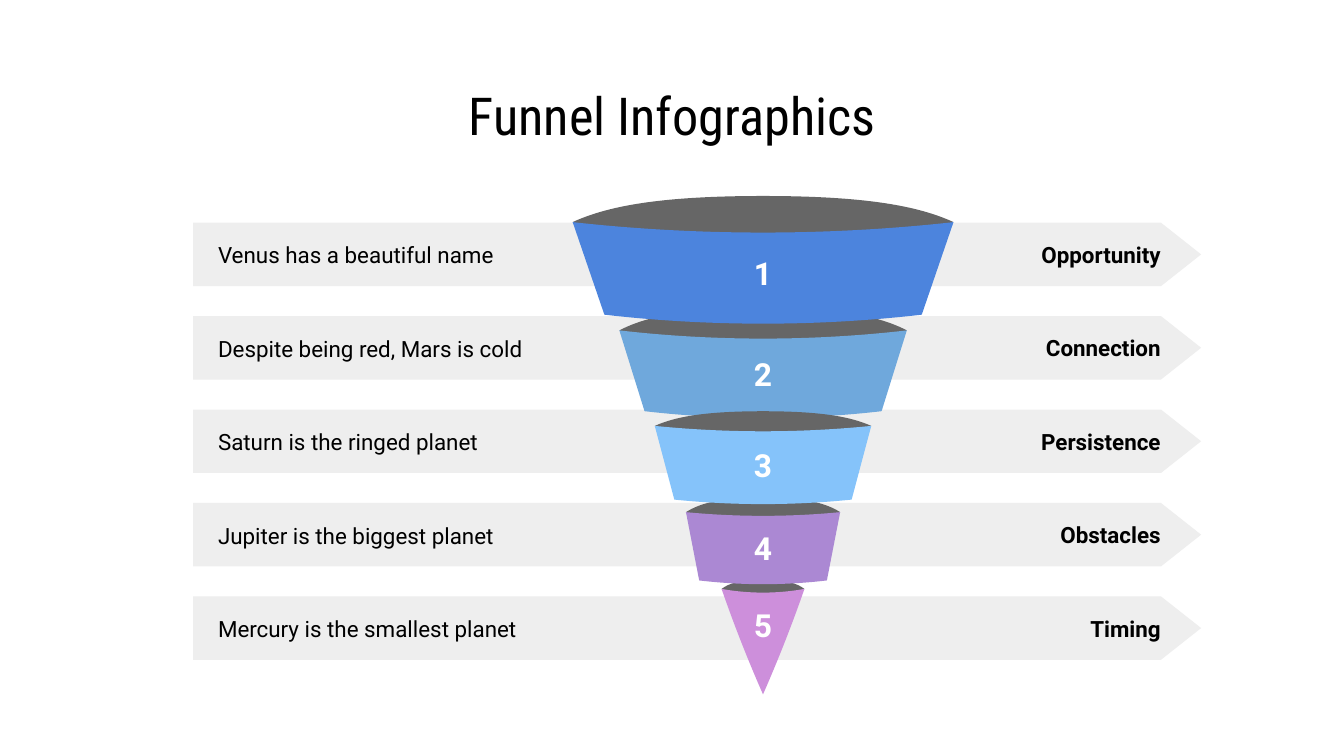
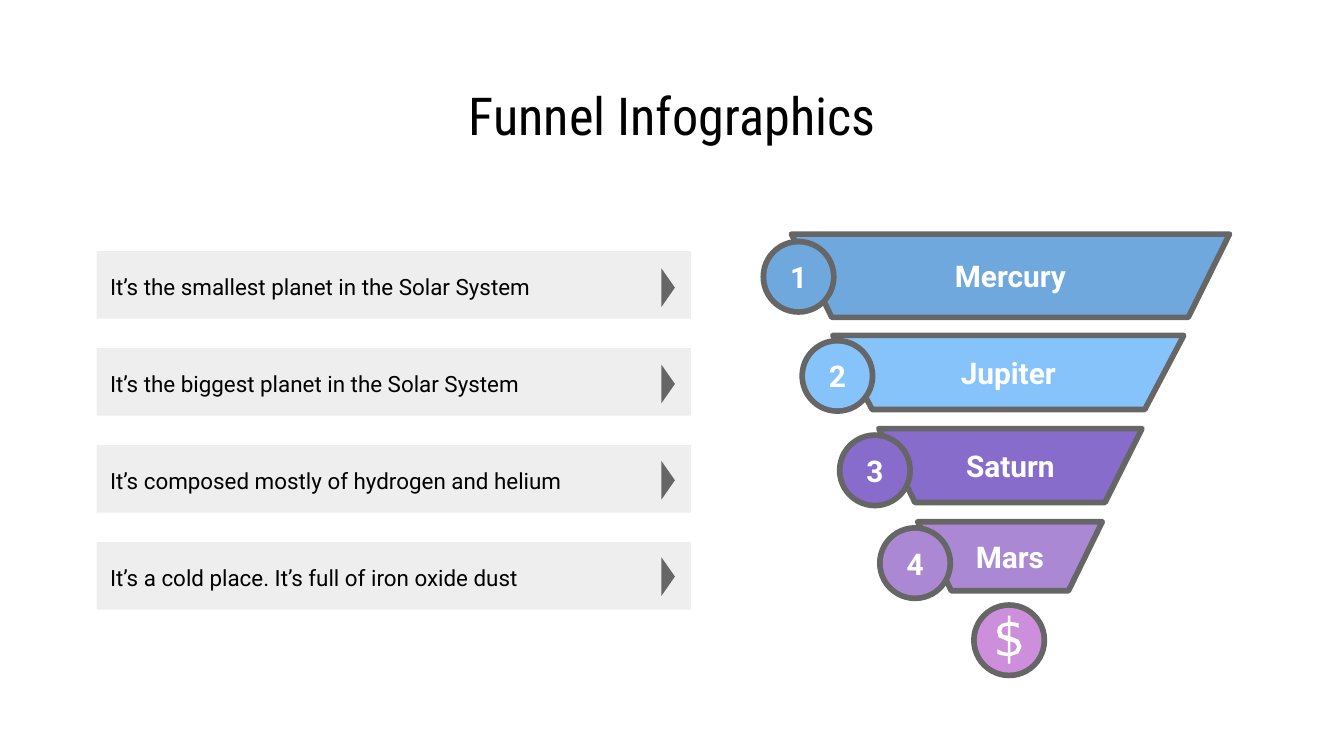
from lxml import etree
from pptx import Presentation
from pptx import util as u
from pptx.dml.color import RGBColor
from pptx.enum import shapes, text
from pptx.oxml.ns import qn

Pt = u.Pt
COLORS = {
    "black": "000000", "white": "FFFFFF", "bar": "EEEEEE", "gray": "666666",
    "blue": "4C84DD", "steel": "6FA8DC", "sky": "85C3FA",
    "violet": "886CCC", "lilac": "AB88D3", "pink": "CD8FDB",
}
RGB = {name: RGBColor.from_string(value) for name, value in COLORS.items()}
LEFT, CENTER, RIGHT = text.PP_ALIGN.LEFT, text.PP_ALIGN.CENTER, text.PP_ALIGN.RIGHT


def outline(s, fill, *contours, curved=False):
    builder = None
    for points in contours:
        points = [(Pt(x), Pt(y)) for x, y in points]
        if builder is None:
            builder = s.shapes.build_freeform(*points[0], scale=1.0)
        else:
            builder.move_to(*points[0])
        builder.add_line_segments(points[1:], close=True)
    sp = builder.convert_to_shape()
    if curved:
        lines = list(sp._element.iter(qn("a:lnTo")))
        for k in range(0, len(lines), 3):
            curve = etree.Element(qn("a:cubicBezTo"))
            lines[k].addprevious(curve)
            for line in lines[k:k + 3]:
                curve.append(line[0])
                line.getparent().remove(line)
    sp.shadow.inherit = False
    sp.fill.solid()
    sp.fill.fore_color.rgb = RGB[fill]
    sp.line.fill.background()
    return sp


def write(sp, words, size, color="black", bold=False, align=LEFT, font="Roboto",
          anchor=text.MSO_ANCHOR.MIDDLE, insets=(7.2, 7.2, 7.2, 7.2)):
    tf = sp.text_frame
    tf.text = words
    tf.word_wrap = True
    tf.auto_size = text.MSO_AUTO_SIZE.NONE
    tf.vertical_anchor = anchor
    tf.margin_left, tf.margin_top, tf.margin_right, tf.margin_bottom = map(Pt, insets)
    p = tf.paragraphs[0]
    p.alignment = align
    p.space_before = Pt(0)
    f = p.runs[0].font
    f.name, f.size, f.bold = font, Pt(size), bold
    f.color.rgb = RGB[color]
    return p


prs = Presentation()
prs.slide_width, prs.slide_height = Pt(720), Pt(405)
funnel = prs.slides.add_slide(prs.slide_layouts.get_by_name("Title Only"))
planets = prs.slides.add_slide(prs.slide_layouts.get_by_name("Comparison"))

for s in (funnel, planets):
    title = s.shapes.title
    title.left, title.top, title.width, title.height = Pt(225), Pt(42.5), Pt(270), Pt(38)
    write(title, "Funnel Infographics", 28, align=CENTER, font="Roboto Condensed")

stages = [
    ("Venus has a beautiful name", "Opportunity"),
    ("Despite being red, Mars is cold", "Connection"),
    ("Saturn is the ringed planet", "Persistence"),
    ("Jupiter is the biggest planet", "Obstacles"),
    ("Mercury is the smallest planet", "Timing"),
]
for i, (note, stage) in enumerate(stages):
    top = 119.3 + 50.05 * i
    bar = outline(funnel, "bar", [(622, top), (643.5, top + 17), (622, top + 34),
                                  (103.5, top + 34), (103.5, top)])
    write(bar, stage, 12, bold=True, align=RIGHT, insets=(7.2, 7.2, 21.6, 7.2))
    box = funnel.shapes.add_textbox(Pt(109.7), Pt(top + 2.9), Pt(181.5), Pt(29))
    write(box, note, 12, anchor=text.MSO_ANCHOR.TOP)

middle = 408.8
dome = [(-1, 0), (-0.82, 0.6), (-0.55, 1), (0, 1), (0.55, 1), (0.82, 0.6), (1, 0)]
bow = [(-1, 0), (-0.67, 0.67), (-0.33, 1), (0, 1), (0.33, 1), (0.67, 0.67), (1, 0)]
tiers = [
    ("2", "steel", 77, 177, 63.5, 220.3, 4.4, 3.6, 165, 188),
    ("1", "blue", 102, 119, 85, 168.6, 5.6, 4.8, 105, 134),
    ("5", "pink", 22.2, 315.5, 0, 372, 2, 0, 310.5, 323),
    ("4", "lilac", 41.3, 274.4, 34.2, 311, 2, 2, 266.5, 286.5),
    ("3", "sky", 58, 228.2, 47.5, 267.7, 2.9, 2.4, 220.3, 238.3),
]
for number, color, wide, top, narrow, bottom, sag, belly, lid_top, lid_bottom in tiers:
    back = [(middle + wide * x, top + (lid_top - top) * y) for x, y in dome]
    front = [(middle - wide * x, top + (lid_bottom - top) * y) for x, y in dome]
    outline(funnel, "gray", back + front[1:], curved=True)

    upper = [(middle + wide * x, top + sag * y) for x, y in bow]
    lower = [(middle - narrow * x, bottom + belly * y) for x, y in bow]
    bend, insets = 0, (7.2, 7.2, 7.2, 7.2)
    if not narrow:
        lower, bend, insets = lower[:1], 0.04, (7.2, 0, 7.2, 18)
    side = [(narrow + (wide - narrow) * (1 - t + bend), top + (bottom - top) * t)
            for t in (0.33, 0.67)]
    right = [(middle + x, y) for x, y in side]
    left = [(middle - x, y) for x, y in reversed(side)]
    tier = outline(funnel, color, upper + right + lower + left + upper[:1], curved=True)
    write(tier, number, 17, "white", True, CENTER, insets=insets)

facts = [
    "It’s the smallest planet in the Solar System",
    "It’s the biggest planet in the Solar System",
    "It’s composed mostly of hydrogen and helium",
    "It’s a cold place. It’s full of iron oxide dust",
]
for i, fact in enumerate(facts):
    sp = planets.placeholders[i + 1]
    sp.left, sp.top, sp.width, sp.height = Pt(51.8), Pt(134.6 + 51.95 * i), Pt(318.4), Pt(36.2)
    sp.fill.solid()
    sp.fill.fore_color.rgb = RGB["bar"]
    p = write(sp, fact, 12)
    p.line_spacing = 1.15
    pPr = p._p.get_or_add_pPr()
    pPr.set("marL", "0")
    pPr.set("indent", "0")
    etree.SubElement(pPr, qn("a:buNone"))
    top = 143.8 + 51.6 * i
    outline(planets, "gray", [(354.4, top), (354.4, top + 20.6), (361.6, top + 10.3)])

layers = [
    ("Mercury", "steel", 424, 658.7, 125.4, 445.6, 636.6, 170, 427.8, 148.3),
    ("Jupiter", "sky", 446.2, 634.2, 179.7, 467.3, 613.3, 219.4, 448.6, 201.4),
    ("Saturn", "violet", 470.8, 611.8, 229.6, 490.2, 592, 269.2, 468.7, 252),
    ("Mars", "lilac", 491.6, 590.5, 279.5, 509.6, 572.4, 316.5, 490.2, 301.7),
    (None, "pink", 0, 0, 0, 0, 0, 0, 540.6, 343),
]
for i, (name, color, x1, x2, top, x3, x4, bottom, cx, cy) in enumerate(layers, 1):
    if name:
        layer = outline(planets, color, [(x1, top), (x3, bottom), (x4, bottom), (x2, top)])
        layer.line.color.rgb = RGB["gray"]
        layer.line.width = Pt(3)
        write(layer, name, 16, "white", True, CENTER)
    for size, fill in ((40.8, "gray"), (34.6, color)):
        disc = planets.shapes.add_shape(shapes.MSO_SHAPE.OVAL, Pt(cx - size / 2),
                                        Pt(cy - size / 2), Pt(size), Pt(size))
        disc.shadow.inherit = False
        disc.fill.solid()
        disc.fill.fore_color.rgb = RGB[fill]
        disc.line.fill.background()
    if name:
        write(disc, str(i), 16, "white", True, CENTER, insets=(0, 0, 0, 0))

dollar = [
    (540, 329.8), (540, 333.4), (536.8, 334.2), (534.7, 336), (534.2, 338.4),
    (535.1, 341.4), (540, 343.6), (540, 349.8), (537, 349.2), (534.3, 347.8),
    (534.3, 350.4), (537, 351.2), (540, 351.5), (540, 355.6), (541.4, 355.6),
    (541.4, 351.5), (545.6, 350.1), (547.3, 346.4), (545.8, 342.8), (541.4, 341),
    (541.4, 335.2), (543.6, 335.5), (545.8, 336.4), (545.8, 334), (543.6, 333.5),
    (541.4, 333.3), (541.4, 329.8),
]
upper_gap = [(540, 335.3), (540, 340.7), (537.3, 340), (536.4, 338.2), (537.3, 336)]
lower_gap = [(541.4, 343.6), (543.8, 344.5), (545, 346.5), (543.9, 348.7), (541.4, 349.7)]
outline(planets, "white", dollar, upper_gap, lower_gap)

prs.save("out.pptx")
